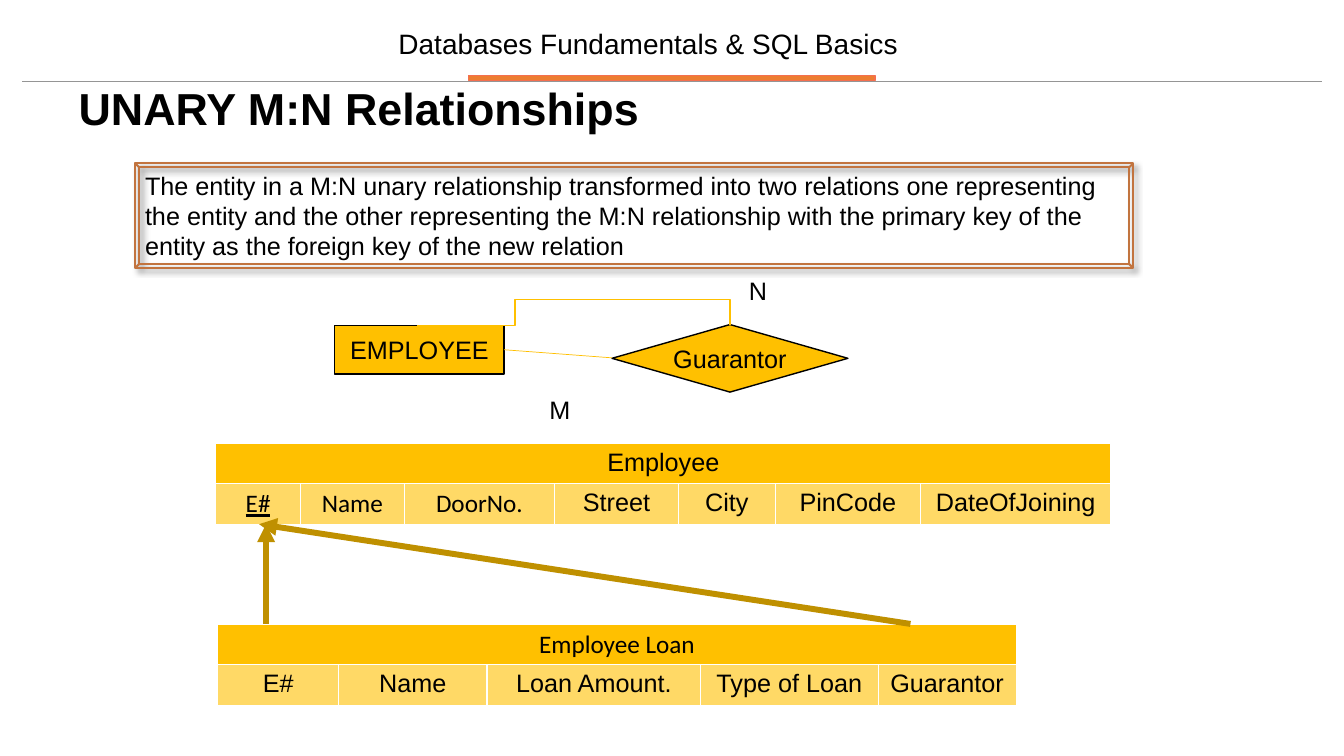
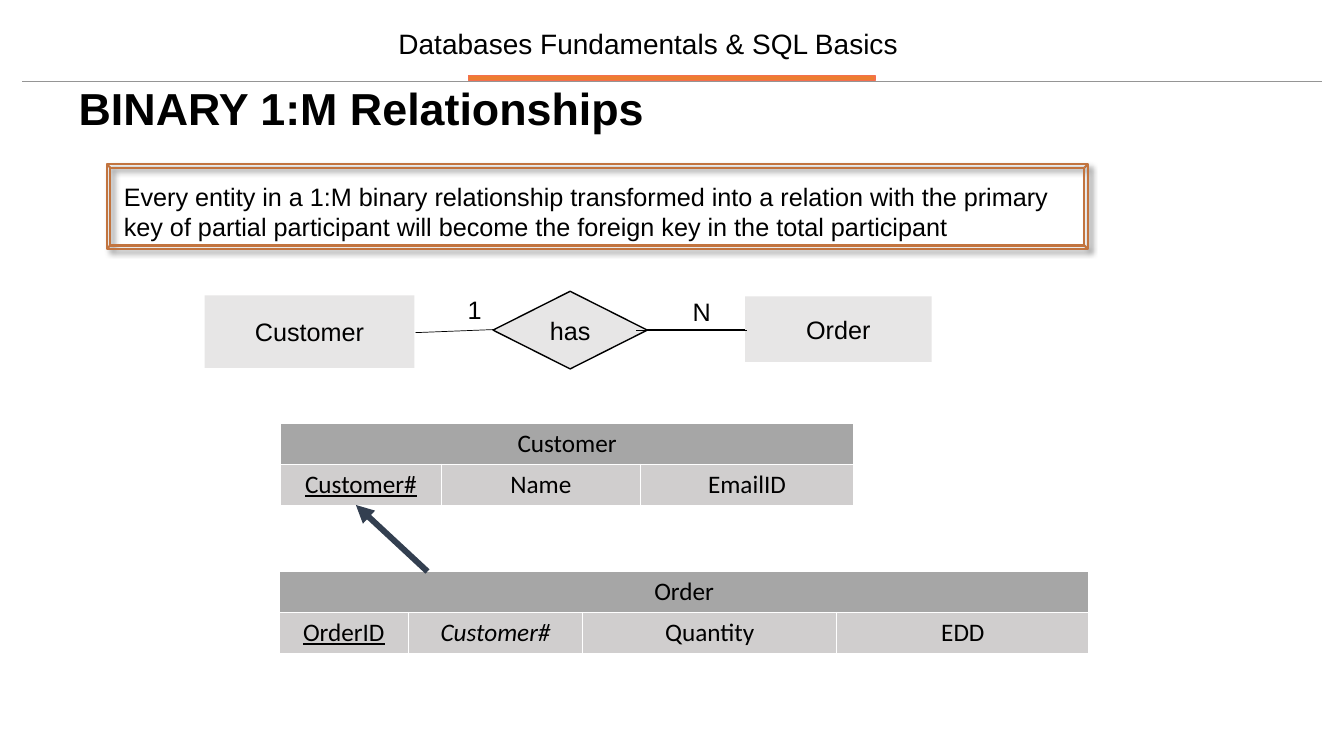
from dataclasses import dataclass

from lxml import etree
from pptx import Presentation
from pptx.dml.color import RGBColor
from pptx.enum.shapes import MSO_CONNECTOR, MSO_SHAPE
from pptx.enum.text import MSO_ANCHOR, MSO_AUTO_SIZE, PP_ALIGN
from pptx.oxml.ns import qn
from pptx.shapes.autoshape import Shape
from pptx.shapes.connector import Connector
from pptx.slide import Slide, SlideLayout
from pptx.text.text import TextFrame
from pptx.util import Emu, Pt

PIXEL = 9144
TITLE_ONLY_LAYOUT = 5
ROW_HEIGHT = 40
STRAIGHT = MSO_CONNECTOR.STRAIGHT
RECTANGLE = MSO_SHAPE.RECTANGLE
DIAMOND = MSO_SHAPE.FLOWCHART_DECISION
BEVEL = MSO_SHAPE.BEVEL
LEFT, CENTER = PP_ALIGN.LEFT, PP_ALIGN.CENTER
TOP, MIDDLE = MSO_ANCHOR.TOP, MSO_ANCHOR.MIDDLE


@dataclass(frozen=True)
class Theme:
    text: str = "000000"
    outline: str = "000000"
    header_line: str = "959595"
    bar: str = "ED7D31"
    bar_outline: str = "F46F4F"
    frame: str = "C2743F"
    gold: str = "FFC000"
    light_gold: str = "FFD966"
    dark_gold: str = "BF9000"
    light_gray: str = "E7E6E6"
    header_gray: str = "A6A6A6"
    cell_gray: str = "D0CECE"
    navy: str = "333F50"
    sans: str = "Arial"
    table_font: str = "Calibri"
    title_size: int = 32
    header_size: int = 20
    body_size: int = 18


THEME = Theme()


@dataclass(frozen=True)
class Box:
    left: int
    top: int
    width: int
    height: int

    def emu(self) -> tuple[Emu, ...]:
        return tuple(px(value) for value in (self.left, self.top, self.width, self.height))


@dataclass(frozen=True)
class Node:
    text: str
    kind: MSO_SHAPE
    box: Box
    fill: str
    outline: str | None = None


@dataclass(frozen=True)
class Label:
    text: str
    box: Box


@dataclass(frozen=True)
class Line:
    start: tuple[int, int]
    end: tuple[int, int]
    color: str
    width: float = 0.5
    arrow: bool = False


@dataclass(frozen=True)
class Column:
    name: str
    width: int
    font: str = THEME.table_font
    underline: bool = False
    italic: bool = False


@dataclass(frozen=True)
class Relation:
    name: str
    left: int
    top: int
    columns: tuple[Column, ...]
    header_fill: str
    cell_fill: str
    header_font: str = THEME.table_font


@dataclass(frozen=True)
class Page:
    title: str
    rule: str
    frame: Box
    rule_box: Box
    relations: tuple[Relation, ...]
    nodes: tuple[Node, ...]
    labels: tuple[Label, ...]
    lines: tuple[Line, ...]
    loop: tuple[tuple[int, int], ...] = ()


def px(value: int) -> Emu:
    return Emu(value * PIXEL)


def rgb(color: str) -> RGBColor:
    return RGBColor.from_string(color)


def write(text_frame: TextFrame, text: str, size: int = THEME.body_size,
          font: str = THEME.sans, align: PP_ALIGN = LEFT, bold: bool = False,
          underline: bool = False, italic: bool = False, spacing: float = 1.0) -> None:
    text_frame.text = text
    paragraph = text_frame.paragraphs[0]
    paragraph.alignment = align
    paragraph.line_spacing = spacing
    for run in paragraph.runs:
        run.font.name = font
        run.font.size = Pt(size)
        run.font.bold = bold
        run.font.underline = underline
        run.font.italic = italic
        run.font.color.rgb = rgb(THEME.text)


def add_text(slide: Slide, box: Box, text: str, wrap: bool = True, **style) -> Shape:
    shape = slide.shapes.add_textbox(*box.emu())
    shape.text_frame.word_wrap = wrap
    write(shape.text_frame, text, **style)
    return shape


def add_box(slide: Slide, kind: MSO_SHAPE, box: Box, fill: str | None,
            outline: str | None, width: float = 1) -> Shape:
    shape = slide.shapes.add_shape(kind, *box.emu())
    shape.shadow.inherit = False
    if fill:
        shape.fill.solid()
        shape.fill.fore_color.rgb = rgb(fill)
    else:
        shape.fill.background()
    if outline:
        shape.line.color.rgb = rgb(outline)
        shape.line.width = Pt(width)
    else:
        shape.line.fill.background()
    return shape


def add_node(slide: Slide, node: Node) -> None:
    text_frame = add_box(slide, node.kind, node.box, node.fill, node.outline).text_frame
    text_frame.margin_left = text_frame.margin_right = 0
    text_frame.margin_top = text_frame.margin_bottom = 0
    text_frame.vertical_anchor = MIDDLE
    write(text_frame, node.text, align=CENTER)


def add_line(slide: Slide, line: Line) -> Connector:
    points = [px(value) for value in (*line.start, *line.end)]
    connector = slide.shapes.add_connector(STRAIGHT, *points)
    connector.line.color.rgb = rgb(line.color)
    connector.line.width = Pt(line.width)
    properties = connector.element.spPr
    if line.arrow:
        etree.SubElement(properties.find(qn("a:ln")), qn("a:tailEnd"), type="triangle")
    etree.SubElement(properties, qn("a:effectLst"))
    return connector


def add_loop(slide: Slide, points: tuple[tuple[int, int], ...]) -> None:
    builder = slide.shapes.build_freeform(*points[0], scale=PIXEL)
    builder.add_line_segments(points[1:], close=False)
    shape = builder.convert_to_shape()
    shape.shadow.inherit = False
    shape.fill.background()
    shape.line.color.rgb = rgb(THEME.gold)
    shape.line.width = Pt(1)


def add_relation(slide: Slide, relation: Relation) -> None:
    columns = relation.columns
    box = Box(relation.left, relation.top, sum(column.width for column in columns), 2 * ROW_HEIGHT)
    table = slide.shapes.add_table(2, len(columns), *box.emu()).table
    table.cell(0, 0).merge(table.cell(0, len(columns) - 1))
    write(table.cell(0, 0).text_frame, relation.name, font=relation.header_font, align=CENTER)
    for index, column in enumerate(columns):
        table.columns[index].width = px(column.width)
        write(table.cell(1, index).text_frame, column.name, font=column.font, align=CENTER,
              underline=column.underline, italic=column.italic)
        for row, fill in enumerate((relation.header_fill, relation.cell_fill)):
            cell = table.cell(row, index)
            cell.fill.solid()
            cell.fill.fore_color.rgb = rgb(fill)


def add_frame(slide: Slide, box: Box) -> None:
    shape = add_box(slide, BEVEL, box, None, THEME.frame, 1.5)
    shape.adjustments[0] = 0.04
    effects = shape.element.spPr.find(qn("a:effectLst"))
    shadow = etree.SubElement(effects, qn("a:outerShdw"), blurRad=str(Pt(4)), dist=str(Pt(3)),
                              dir="2700000", algn="tl", rotWithShape="0")
    color = etree.SubElement(shadow, qn("a:srgbClr"), val="000000")
    etree.SubElement(color, qn("a:alpha"), val="40000")


def prepare_layout(layout: SlideLayout, slide: Slide) -> None:
    title, *footers = layout.placeholders
    title.left, title.top, title.width, title.height = Box(68, 81, 1231, 78).emu()
    for footer in footers:
        footer.element.getparent().remove(footer.element)
    line = add_line(slide, Line((22, 81), (1311, 81), THEME.header_line, 0.75))
    bar = add_box(slide, RECTANGLE, Box(465, 75, 403, 5), THEME.bar, THEME.bar_outline)
    header = add_text(slide, Box(375, 26, 536, 38), "Databases Fundamentals & SQL Basics",
                      size=THEME.header_size, align=CENTER, spacing=0.9)
    header.text_frame.vertical_anchor = MIDDLE
    for shape in (line, bar, header):
        layout.shapes.element.append(shape.element)


def fill_slide(slide: Slide, page: Page) -> None:
    title_frame = slide.shapes.title.text_frame
    title_frame.auto_size = MSO_AUTO_SIZE.NONE
    title_frame.vertical_anchor = TOP
    write(title_frame, page.title, size=THEME.title_size, bold=True, spacing=0.9)
    for relation in page.relations:
        add_relation(slide, relation)
    for node in page.nodes:
        add_node(slide, node)
    for line in page.lines:
        add_line(slide, line)
    if page.loop:
        add_loop(slide, page.loop)
    for label in page.labels:
        add_text(slide, label.box, label.text, wrap=False)
    add_frame(slide, page.frame)
    add_text(slide, page.rule_box, page.rule)


UNARY = Page(
    title="UNARY M:N Relationships",
    rule="The entity in a M:N unary relationship transformed into two relations one representing "
         "the entity and the other representing the M:N relationship with the primary key of the "
         "entity as the foreign key of the new relation",
    frame=Box(134, 162, 990, 104), rule_box=Box(134, 164, 967, 101),
    relations=(
        Relation("Employee", 214, 440, (
            Column("E#", 84, underline=True), Column("Name", 103), Column("DoorNo.", 149),
            Column("Street", 123, THEME.sans), Column("City", 96, THEME.sans),
            Column("PinCode", 144, THEME.sans), Column("DateOfJoining", 189, THEME.sans),
        ), THEME.gold, THEME.light_gold, THEME.sans),
        Relation("Employee Loan", 216, 619, (
            Column("E#", 120, THEME.sans), Column("Name", 147, THEME.sans),
            Column("Loan Amount.", 212, THEME.sans), Column("Type of Loan", 176, THEME.sans),
            Column("Guarantor", 137, THEME.sans),
        ), THEME.gold, THEME.light_gold)),
    nodes=(Node("EMPLOYEE", RECTANGLE, Box(332, 323, 168, 48), THEME.gold, THEME.outline),
           Node("Guarantor", DIAMOND, Box(607, 322, 234, 67), THEME.gold, THEME.outline)),
    labels=(Label("M", Box(535, 386, 41, 40)), Label("N", Box(733, 268, 37, 40))),
    lines=(Line((500, 347), (607, 355), THEME.gold),
           Line((264, 619), (264, 520), THEME.dark_gold, 4.25, True),
           Line((903, 619), (257, 520), THEME.dark_gold, 4.25, True)),
    loop=((724, 322), (724, 297), (511, 297), (511, 323), (414, 323)))

BINARY = Page(
    title="BINARY 1:M Relationships",
    rule="Every entity in a 1:M binary relationship transformed into a relation with the primary "
         "key of partial participant will become the foreign key in the total participant",
    frame=Box(106, 163, 973, 84), rule_box=Box(113, 175, 967, 71),
    relations=(
        Relation("Order", 277, 567, (
            Column("OrderID", 128, underline=True), Column("Customer#", 173, italic=True),
            Column("Quantity", 252), Column("EDD", 250),
        ), THEME.header_gray, THEME.cell_gray),
        Relation("Customer", 278, 420, (
            Column("Customer#", 160, underline=True), Column("Name", 197), Column("EmailID", 212),
        ), THEME.header_gray, THEME.cell_gray)),
    nodes=(Node("has", DIAMOND, Box(489, 289, 153, 77), THEME.light_gray, THEME.outline),
           Node("Order", RECTANGLE, Box(739, 294, 185, 65), THEME.light_gray),
           Node("Customer", RECTANGLE, Box(203, 293, 208, 72), THEME.light_gray)),
    labels=(Label("1", Box(454, 287, 34, 40)), Label("N", Box(677, 289, 38, 40))),
    lines=(Line((412, 330), (489, 327), THEME.outline),
           Line((642, 327), (739, 327), THEME.outline),
           Line((631, 328), (741, 328), THEME.outline),
           Line((424, 567), (353, 501), THEME.navy, 4.25, True)))


def main() -> None:
    presentation = Presentation()
    presentation.slide_width, presentation.slide_height = px(1333), px(750)
    layout = presentation.slide_layouts[TITLE_ONLY_LAYOUT]
    for index, page in enumerate((UNARY, BINARY)):
        slide = presentation.slides.add_slide(layout)
        if index == 0:
            prepare_layout(layout, slide)
        fill_slide(slide, page)
    presentation.save("out.pptx")


if __name__ == "__main__":
    main()
